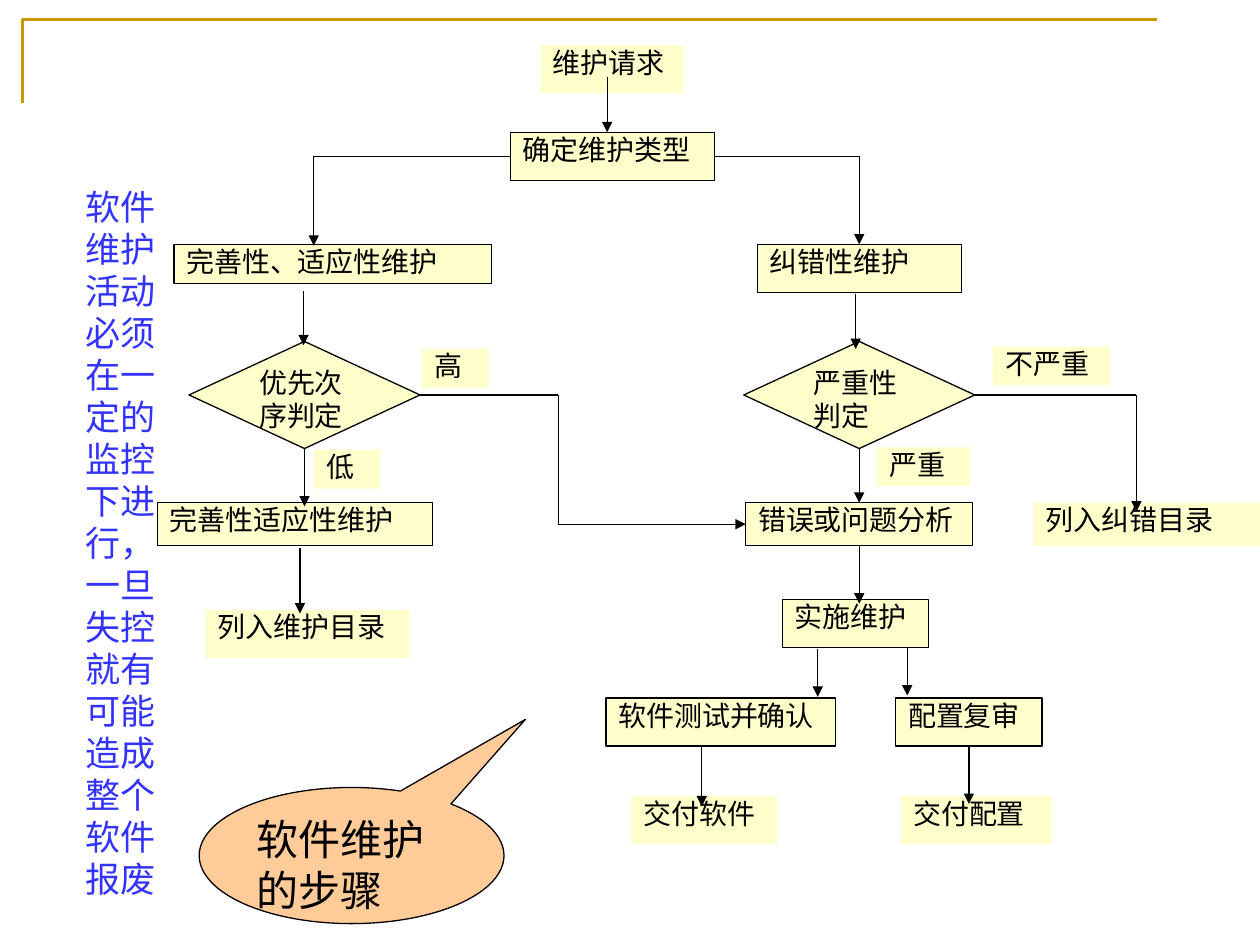
from lxml import etree
from pptx import Presentation
from pptx.dml.color import RGBColor
from pptx.enum import shapes, text
from pptx.oxml import ns
from pptx.util import Pt

BLACK = RGBColor(0x00, 0x00, 0x00)
BLUE = RGBColor(0x33, 0x33, 0xFF)
GOLD = RGBColor(0xCC, 0x99, 0x00)
CREAM = RGBColor(0xFF, 0xFF, 0xCC)
PEACH = RGBColor(0xFF, 0xCC, 0x99)
SERIF = "Times New Roman"
SANS = "Noto Sans CJK SC"
RECTANGLE = shapes.MSO_SHAPE.RECTANGLE
DECISION = shapes.MSO_SHAPE.FLOWCHART_DECISION
TOP, LEFT, BOTTOM, RIGHT = range(4)

# key: (wording, left, top, width, height)
STEPS = {
    "type": ("确定维护类型", 291.6, 75.6, 116.6, 27.4),
    "improve": ("完善性、适应性维护", 99.4, 139.7, 181.4, 22.3),
    "correct": ("纠错性维护", 432.7, 139.7, 116.6, 27.4),
    "adapt": ("完善性适应性维护", 90, 287.3, 157, 24.5),
    "analyse": ("错误或问题分析", 426.2, 287.3, 129.6, 24.5),
    "carry out": ("实施维护", 447.1, 342.7, 83.5, 27.4),
    "test": ("软件测试并确认", 346.3, 398.9, 131, 27.4),
    "review": ("配置复审", 511.9, 398.9, 83.5, 27.4),
}
DECISIONS = {
    "priority": ("优先次\n序判定", 108, 195.1, 132, 61.2),
    "severity": ("严重性\n判定", 425, 195.1, 132, 61.2),
}
LABELS = [
    ("维护请求", 308.9, 25.9, 81.4, 27.4),
    ("交付软件", 360.7, 455, 83.5, 27.4),
    ("交付配置", 514.8, 455, 85.7, 27.4),
    ("列入纠错目录", 590.4, 287.3, 129.6, 24.5),
    ("列入维护目录", 117.4, 348.5, 116.6, 27.4),
    ("高", 241.2, 199.4, 38.2, 22.3),
    ("低", 179.3, 257, 38.2, 22.3),
    ("不严重", 567.4, 198, 67, 22.3),
    ("严重", 501.1, 255.6, 53.3, 22.3),
]
# (corner points, joined start, joined end)
ROUTES = [
    ([(347, 43.9), (347, 75.6)], None, None),
    ([(291.6, 89.3), (179.3, 89.3), (179.3, 140.4)], ("type", LEFT), None),
    ([(408.2, 89.3), (491, 89.3), (491, 139.7)], ("type", RIGHT), ("correct", TOP)),
    ([(173.5, 166.3), (173.5, 197.3)], None, None),
    ([(489, 167.8), (489, 199.4)], None, None),
    ([(174, 256.3), (174, 289.4)], ("priority", BOTTOM), None),
    ([(491, 256.3), (491, 287.3)], ("severity", BOTTOM), ("analyse", TOP)),
    ([(240, 225.7), (319, 225.7), (319, 299.55), (426.2, 299.55)],
     ("priority", RIGHT), ("analyse", LEFT)),
    ([(557, 225.7), (649.4, 225.7), (649.4, 292.3)], ("severity", RIGHT), None),
    ([(171.4, 313.2), (171.4, 350.6)], None, None),
    ([(491, 311.8), (491, 344.9)], ("analyse", BOTTOM), None),
    ([(467.3, 370.8), (467.3, 398.2)], None, None),
    ([(518.4, 370.1), (518.4, 397.4)], None, None),
    ([(401, 427), (401, 460.8)], None, None),
    ([(553.65, 426.3), (553.65, 459.4)], ("review", BOTTOM), None),
]


def write(shape, wording, size, font=SERIF, color=BLACK, inset=0, spacing=None):
    frame = shape.text_frame
    frame.word_wrap = True
    frame.vertical_anchor = text.MSO_ANCHOR.TOP
    frame.margin_left = frame.margin_right = Pt(7.2)
    frame.margin_top = frame.margin_bottom = Pt(inset)
    frame.text = wording
    for paragraph in frame.paragraphs:
        paragraph.alignment = text.PP_ALIGN.LEFT
        paragraph.line_spacing = spacing
        paragraph.font.size = Pt(size)
        paragraph.font.name = font
        paragraph.font.color.rgb = color


def add_filled(slide, kind, bounds, fill=CREAM, outlined=True):
    shape = slide.shapes.add_shape(kind, *map(Pt, bounds))
    shape.shadow.inherit = False
    shape.fill.solid()
    shape.fill.fore_color.rgb = fill
    if outlined:
        shape.line.color.rgb = BLACK
        shape.line.width = Pt(0.75)
    else:
        shape.line.fill.background()
    return shape


def add_node(slide, node, kind=RECTANGLE, outlined=True, spacing=None):
    wording, *bounds = node
    shape = add_filled(slide, kind, bounds, outlined=outlined)
    write(shape, wording, 16, spacing=spacing)
    return shape


def add_segment(slide, start, end):
    segment = slide.shapes.add_connector(
        shapes.MSO_CONNECTOR.STRAIGHT, *map(Pt, start + end))
    segment.line.color.rgb = BLACK
    segment.line.width = Pt(0.75)
    etree.SubElement(segment.line._get_or_add_ln(), ns.qn("a:tailEnd"), type="none")
    etree.SubElement(segment._element.spPr, ns.qn("a:effectLst"))
    return segment


def add_route(slide, nodes, points, start, end):
    """Join the points with straight segments, the last one with an arrowhead."""
    segments = [add_segment(slide, *pair) for pair in zip(points, points[1:])]
    tail = segments[-1].line._get_or_add_ln().find(ns.qn("a:tailEnd"))
    tail.set("type", "triangle")
    if start:
        segments[0].begin_connect(nodes[start[0]], start[1])
    if end:
        segments[-1].end_connect(nodes[end[0]], end[1])


def add_corner_rule(slide):
    builder = slide.shapes.build_freeform(Pt(13), Pt(59))
    builder.add_line_segments(
        [(Pt(13), Pt(11.2)), (Pt(661), Pt(11.2))], close=False)
    rule = builder.convert_to_shape()
    rule.shadow.inherit = False
    rule.fill.background()
    rule.line.color.rgb = GOLD
    rule.line.width = Pt(2)


def add_side_remark(slide):
    box = slide.shapes.add_textbox(Pt(41.8), Pt(102.2), Pt(66.2), Pt(415.4))
    write(box, "软件维护活动必须在一定的监控下进行，一旦失控就有可能造成整个软件报废",
          20, color=BLUE, inset=3.6)


def add_callout(slide):
    callout = add_filled(slide, shapes.MSO_SHAPE.OVAL_CALLOUT,
                         (113.8, 450, 174.2, 77.8), PEACH)
    callout.adjustments[0] = 0.57
    callout.adjustments[1] = -1
    write(callout, "软件维护的步骤", 24, SANS, inset=3.6)


def main():
    presentation = Presentation()
    presentation.slide_width, presentation.slide_height = Pt(720), Pt(540)
    slide = presentation.slides.add_slide(presentation.slide_layouts[6])
    add_corner_rule(slide)
    add_side_remark(slide)
    nodes = {key: add_node(slide, step) for key, step in STEPS.items()}
    for key, decision in DECISIONS.items():
        nodes[key] = add_node(slide, decision, DECISION, spacing=0.96)
    for label in LABELS:
        add_node(slide, label, outlined=False)
    for points, start, end in ROUTES:
        add_route(slide, nodes, points, start, end)
    add_callout(slide)
    presentation.save("out.pptx")


if __name__ == "__main__":
    main()
